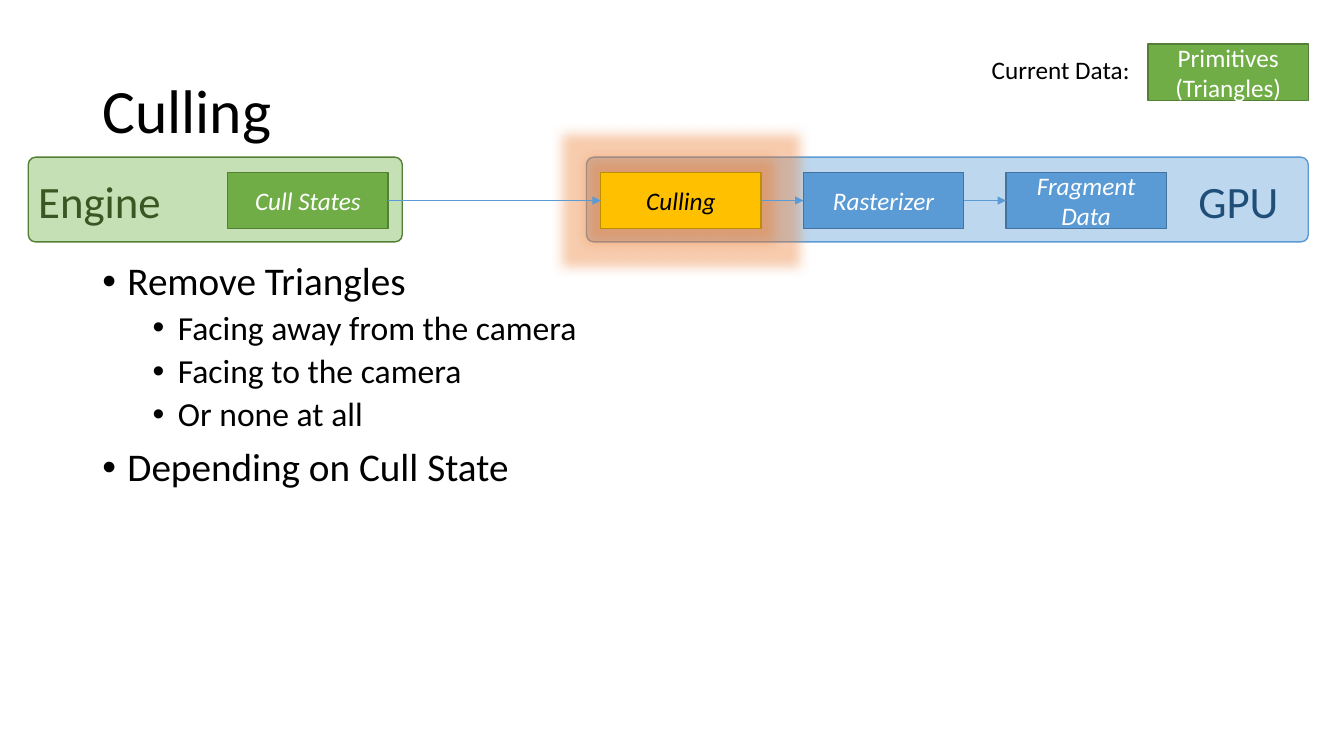
from lxml import etree
from pptx import Presentation
from pptx.dml.color import RGBColor
from pptx.enum.shapes import MSO_CONNECTOR, MSO_SHAPE
from pptx.enum.text import MSO_ANCHOR, PP_ALIGN
from pptx.oxml.ns import qn
from pptx.util import Pt

RECT, ROUNDED = MSO_SHAPE.RECTANGLE, MSO_SHAPE.ROUNDED_RECTANGLE
STRAIGHT = MSO_CONNECTOR.STRAIGHT
TOP, MIDDLE = MSO_ANCHOR.TOP, MSO_ANCHOR.MIDDLE
CENTER = PP_ALIGN.CENTER
LEFT_SITE, RIGHT_SITE = 1, 3

BLACK = RGBColor(0x00, 0x00, 0x00)
WHITE = RGBColor(0xFF, 0xFF, 0xFF)
BLUE = RGBColor(0x5B, 0x9B, 0xD5)
BLUE_EDGE = RGBColor(0x43, 0x73, 0x9E)
BLUE_PALE = RGBColor(0xBD, 0xD7, 0xEE)
BLUE_DARK = RGBColor(0x1F, 0x4E, 0x79)
GREEN = RGBColor(0x70, 0xAD, 0x47)
GREEN_EDGE = RGBColor(0x53, 0x80, 0x35)
GREEN_PALE = RGBColor(0xC5, 0xE0, 0xB4)
GREEN_DARK = RGBColor(0x38, 0x57, 0x23)
GOLD = RGBColor(0xFF, 0xC0, 0x00)
GOLD_EDGE = RGBColor(0xBD, 0x8E, 0x00)
ORANGE = RGBColor(0xED, 0x7D, 0x31)

FONT = "Calibri"
BOX_W, BOX_H = 114.5, 40.3
STAGE_TOP = 123.1
GPU_STAGE_LEFT, STAGE_STEP = 429.1, 144.75
PANEL_TOP, PANEL_H = 112.3, 60.5

BULLETS = [
    (0, "Remove Triangles"),
    (1, "Facing away from the camera"),
    (1, "Facing to the camera"),
    (1, "Or none at all"),
    (0, "Depending on Cull State"),
]
LEVELS = [(18, 28, 10), (54, 24, 5)]  # indent, size, space before


def add_run(p, text, size, color, italic=False):
    r = p.add_run()
    r.text = text
    r.font.name = FONT
    r.font.size = Pt(size)
    r.font.color.rgb = color
    r.font.italic = italic


def add_text_box(s, left, top, width, height, anchor=TOP):
    tf = s.shapes.add_textbox(Pt(left), Pt(top), Pt(width), Pt(height)).text_frame
    tf.word_wrap = True
    tf.vertical_anchor = anchor
    return tf


def add_label(s, text, left, top, width, height, size, color):
    tf = add_text_box(s, left, top, width, height)
    add_run(tf.paragraphs[0], text, size, color)


def add_shape(s, kind, left, top, width, height, fill, edge):
    sp = s.shapes.add_shape(kind, Pt(left), Pt(top), Pt(width), Pt(height))
    sp.shadow.inherit = False
    sp.fill.solid()
    sp.fill.fore_color.rgb = fill
    sp.line.color.rgb = edge
    sp.line.width = Pt(1)
    return sp


def add_panel(s, left, width, fill, edge):
    sp = add_shape(s, ROUNDED, left, PANEL_TOP, width, PANEL_H, fill, edge)
    sp.adjustments[0] = 0.085


def add_box(s, lines, left, top, fill, edge, color=WHITE, italic=True):
    sp = add_shape(s, RECT, left, top, BOX_W, BOX_H, fill, edge)
    tf = sp.text_frame
    tf.word_wrap = True
    tf.vertical_anchor = MIDDLE
    for i, line in enumerate(lines):
        p = tf.add_paragraph() if i else tf.paragraphs[0]
        p.alignment = CENTER
        add_run(p, line, 18, color, italic)
    return sp


def add_glow(sp, color, radius, opacity):
    """Put a soft halo around a shape; opacity is in percent."""
    effects = sp._element.spPr.find(qn("a:effectLst"))
    glow = etree.SubElement(effects, qn("a:glow"), rad=str(Pt(radius)))
    clr = etree.SubElement(glow, qn("a:srgbClr"), val=str(color))
    etree.SubElement(clr, qn("a:alpha"), val=str(opacity * 1000))


def add_arrow(s, source, target):
    c = s.shapes.add_connector(STRAIGHT, 0, 0, 0, 0)
    c.begin_connect(source, RIGHT_SITE)
    c.end_connect(target, LEFT_SITE)
    c.line.color.rgb = BLUE
    c.line.width = Pt(0.5)
    etree.SubElement(c.line._get_or_add_ln(), qn("a:tailEnd"), type="triangle")
    etree.SubElement(c._element.spPr, qn("a:effectLst"))


def add_title(s, text):
    tf = add_text_box(s, 66, 28.8, 828, 104.4, MIDDLE)
    p = tf.paragraphs[0]
    p.line_spacing = 0.9
    add_run(p, text, 44, BLACK)


def add_bullets(s):
    tf = add_text_box(s, 66, 183.6, 828, 302.4)
    for i, (level, text) in enumerate(BULLETS):
        indent, size, space = LEVELS[level]
        p = tf.add_paragraph() if i else tf.paragraphs[0]
        p.level = level
        pPr = p._p.get_or_add_pPr()
        pPr.set("marL", str(Pt(indent)))
        pPr.set("indent", str(-Pt(18)))
        etree.SubElement(pPr, qn("a:buFont"), typeface="Arial")
        etree.SubElement(pPr, qn("a:buChar"), char="•")
        p.line_spacing = 0.9
        if i:
            p.space_before = Pt(space)
        add_run(p, text, size, BLACK)


def add_pipeline(s):
    add_panel(s, 419, 515.5, BLUE_PALE, BLUE)
    add_panel(s, 20.2, 267.1, GREEN_PALE, GREEN_EDGE)
    add_label(s, "Engine", 20.2, 120.2, 131, 46, 32, GREEN_DARK)
    add_label(s, "GPU", 848.9, 120.2, 85, 46, 32, BLUE_DARK)

    stages = [add_box(s, ["Cull States"], 162.7, STAGE_TOP, GREEN, GREEN_EDGE)]
    gpu_stages = [
        ("Culling", GOLD, GOLD_EDGE, BLACK),
        ("Rasterizer", BLUE, BLUE_EDGE, WHITE),
        ("Fragment Data", BLUE, BLUE_EDGE, WHITE),
    ]
    for i, (name, fill, edge, color) in enumerate(gpu_stages):
        left = GPU_STAGE_LEFT + i * STAGE_STEP
        stages.append(add_box(s, [name], left, STAGE_TOP, fill, edge, color))
    add_glow(stages[1], ORANGE, 18, 40)
    for source, target in zip(stages, stages[1:]):
        add_arrow(s, source, target)


def main():
    prs = Presentation()
    prs.slide_width, prs.slide_height = Pt(960), Pt(540)
    s = prs.slides.add_slide(prs.slide_layouts[6])
    add_title(s, "Culling")
    add_bullets(s)
    add_pipeline(s)
    add_label(s, "Current Data:", 701.3, 35.3, 118.8, 29, 18, BLACK)
    add_box(s, ["Primitives", "(Triangles)"], 820.1, 31.5, GREEN, GREEN_EDGE,
            italic=False)
    prs.save("out.pptx")


if __name__ == "__main__":
    main()
